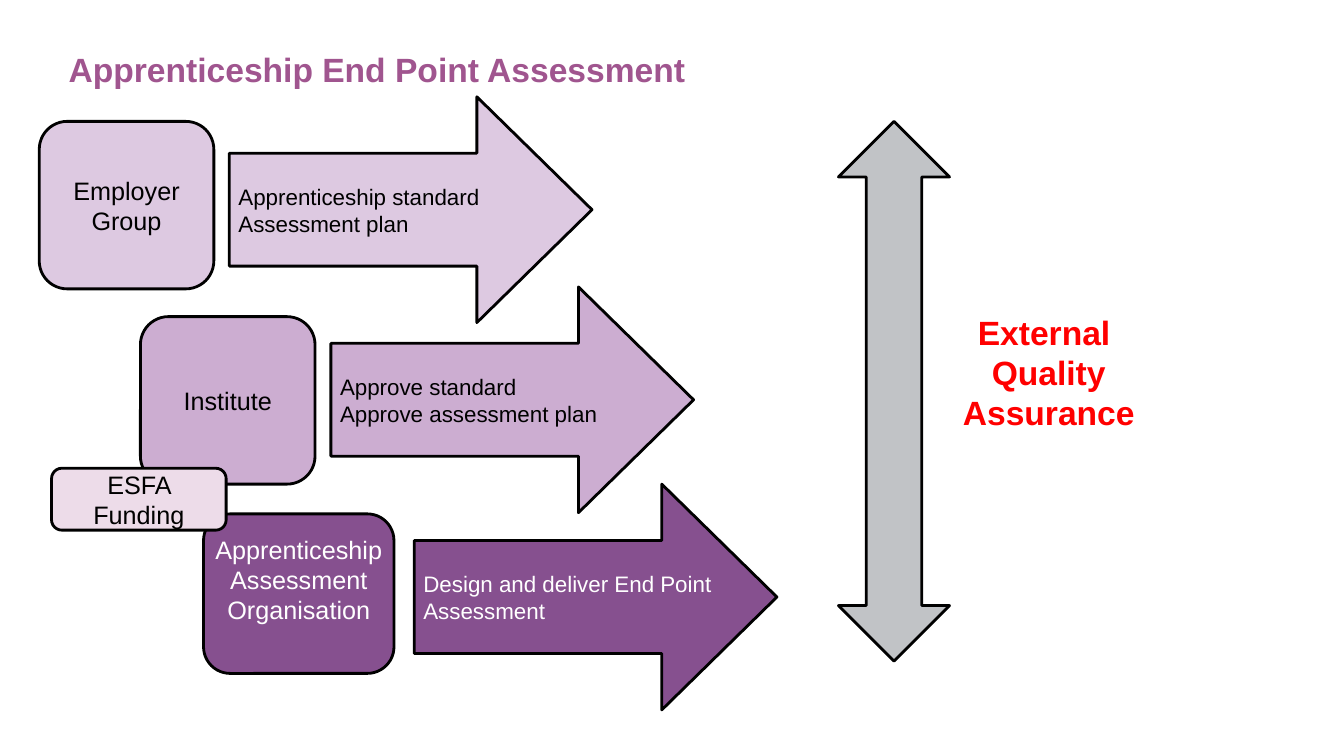
from dataclasses import dataclass

from pptx import Presentation
from pptx.dml.color import RGBColor
from pptx.enum.shapes import MSO_SHAPE
from pptx.enum.text import MSO_ANCHOR, MSO_AUTO_SIZE, PP_ALIGN
from pptx.util import Cm, Pt


@dataclass(frozen=True)
class Theme:
    font: str = "Arial"
    title: str = "A0558F"
    ink: str = "000000"
    white: str = "FFFFFF"
    alert: str = "FF0000"
    grey: str = "C1C3C6"
    pale: str = "DDC9E1"
    mid: str = "CCADD1"
    deep: str = "86508F"
    pink: str = "EDDCE9"
    head: int = 24
    label: int = 18
    body: int = 16
    line: int = 2


def write(frame, text, font, size, color, bold=False, align=PP_ALIGN.CENTER,
          anchor=MSO_ANCHOR.MIDDLE, inset=(0.25, 0.13, 0.25, 0.13), wrap=True):
    """Fill a text frame, one paragraph per line of text."""
    frame.word_wrap = wrap
    frame.auto_size = MSO_AUTO_SIZE.NONE
    frame.vertical_anchor = anchor
    (frame.margin_left, frame.margin_top,
     frame.margin_right, frame.margin_bottom) = [Cm(side) for side in inset]
    for i, line in enumerate(text.split("\n")):
        para = frame.add_paragraph() if i else frame.paragraphs[0]
        para.alignment = align
        run = para.add_run()
        run.text = line
        run.font.name = font
        run.font.size = Pt(size)
        run.font.bold = bold
        run.font.color.rgb = RGBColor.from_string(color)


class Board:
    def __init__(self, deck, theme):
        self.theme = theme
        self.slide = deck.slides.add_slide(deck.slide_layouts[5])

    def title(self, text, area):
        shape = self.slide.shapes.title
        shape.left, shape.top, shape.width, shape.height = map(Cm, area)
        write(shape.text_frame, text, self.theme.font, self.theme.head,
              self.theme.title, bold=True, align=PP_ALIGN.LEFT,
              anchor=MSO_ANCHOR.TOP, inset=(0, 0.1, 0, 0.1))

    def shape(self, kind, area, fill, ratios):
        shape = self.slide.shapes.add_shape(kind, *map(Cm, area))
        shape.shadow.inherit = False
        shape.fill.solid()
        shape.fill.fore_color.rgb = RGBColor.from_string(fill)
        shape.line.color.rgb = RGBColor.from_string(self.theme.ink)
        shape.line.width = Pt(self.theme.line)
        for i, ratio in enumerate(ratios):
            shape.adjustments[i] = ratio
        return shape

    def box(self, text, area, fill, color, **style):
        shape = self.shape(MSO_SHAPE.ROUNDED_RECTANGLE, area, fill, [0.167])
        write(shape.text_frame, text, self.theme.font, self.theme.label,
              color, **style)

    def arrow(self, text, area, fill, color):
        shape = self.shape(MSO_SHAPE.RIGHT_ARROW, area, fill, [0.5, 0.51])
        write(shape.text_frame, text, self.theme.font, self.theme.body, color,
              align=PP_ALIGN.LEFT, inset=(0.23, 0, 0.1, 0))

    def span(self, area):
        self.shape(MSO_SHAPE.UP_DOWN_ARROW, area, self.theme.grey, [0.5, 0.5])

    def note(self, text, area):
        shape = self.slide.shapes.add_textbox(*map(Cm, area))
        write(shape.text_frame, text, self.theme.font, self.theme.head,
              self.theme.alert, bold=True, anchor=MSO_ANCHOR.TOP, wrap=False)


def main():
    deck = Presentation()
    deck.slide_width, deck.slide_height = Cm(33.87), Cm(19.05)
    theme = Theme()
    board = Board(deck, theme)
    board.title("Apprenticeship End Point Assessment", (1.73, 1.12, 23.52, 1.6))

    # Steps: who acts, and what they do
    low = {"inset": (0, 0.13, 0, 0.86)}
    steps = [
        ("Employer\nGroup", (0.99, 3.06, 4.4, 4.22), {},
         "Apprenticeship standard\nAssessment plan", (5.78, 2.44),
         theme.pale, theme.ink),
        ("Institute", (3.54, 7.98, 4.4, 4.22), {},
         "Approve standard\nApprove assessment plan", (8.34, 7.23),
         theme.mid, theme.ink),
        ("Apprenticeship Assessment Organisation", (5.13, 12.95, 4.8, 4.02), low,
         "Design and deliver End Point\nAssessment", (10.44, 12.2),
         theme.deep, theme.white),
    ]
    for who, area, style, task, spot, fill, color in steps:
        board.box(who, area, fill, color, **style)
        board.arrow(task, (*spot, 9.14, 5.69), fill, color)

    # Quality assurance across all steps
    board.span((21.13, 3.06, 2.8, 13.6))
    board.note("External \nQuality\nAssurance", (23.98, 7.72, 4.9, 3.33))

    # Funding tag, on top
    board.box("ESFA Funding", (1.3, 11.8, 4.4, 1.56), theme.pink, theme.ink)
    deck.save("out.pptx")


if __name__ == "__main__":
    main()
